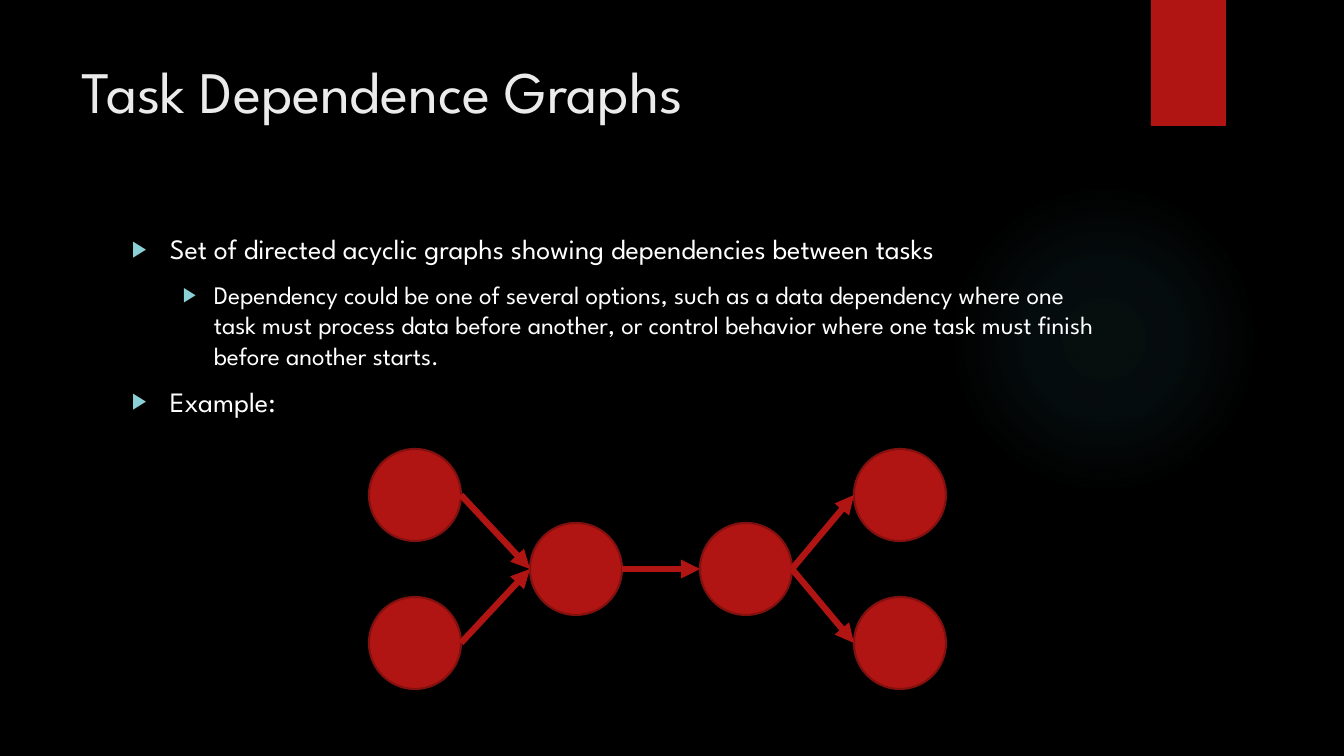
"""Build the slide on task dependence graphs with its example graph."""
import pptx
import pptx.dml.color
import pptx.enum.shapes
import pptx.enum.text
import pptx.oxml
import pptx.oxml.ns
import pptx.util

PX = 9071
FONT = "League Spartan"
COLORS = {"background": "000000", "glow": "50B9C1", "accent": "B01513", "outline": "82100E",
          "title": "EBEBEB", "body": "FFFFFF", "bullet": "8AD0D6"}
NS = pptx.oxml.ns.nsdecls("a")
RGB = pptx.dml.color.RGBColor.from_string
SHAPES = pptx.enum.shapes.MSO_SHAPE

deck = pptx.Presentation()
deck.slide_width, deck.slide_height = 1344 * PX, 756 * PX
slide = deck.slides.add_slide(deck.slide_layouts[6])
slide.background.fill.solid()
slide.background.fill.fore_color.rgb = RGB(COLORS["background"])


def add_block(preset, left, top, width, height, outline=None):
    block = slide.shapes.add_shape(preset, left * PX, top * PX, width * PX, height * PX)
    block.shadow.inherit = False
    block.fill.solid()
    block.fill.fore_color.rgb = RGB(COLORS["accent"])
    if outline:
        block.line.color.rgb = RGB(outline)
        block.line.width = pptx.util.Pt(1.5)
    else:
        block.line.fill.background()
    return block


def add_paragraph(frame, text, size, color, first):
    paragraph = frame.paragraphs[0] if first else frame.add_paragraph()
    run = paragraph.add_run()
    run.text = text
    for key, value in {"name": FONT, "size": pptx.util.Pt(size)}.items():
        setattr(run.font, key, value)
    run.font.color.rgb = RGB(color)
    return paragraph


glow = add_block(SHAPES.OVAL, 949, 184, 310, 310)
stops = "".join(
    f'<a:gs pos="{position * 1000}"><a:srgbClr val="{COLORS["glow"]}">'
    f'<a:alpha val="{alpha * 1000}"/></a:srgbClr></a:gs>'
    for position, alpha in [(0, 7), (36, 6), (69, 0)])
gradient = pptx.oxml.parse_xml(
    f'<a:gradFill {NS}><a:gsLst>{stops}</a:gsLst><a:path path="circle">'
    '<a:fillToRect l="50000" t="50000" r="50000" b="50000"/></a:path></a:gradFill>')
solid = glow._element.spPr.find(pptx.oxml.ns.qn("a:solidFill"))
solid.getparent().replace(solid, gradient)

add_block(SHAPES.RECTANGLE, 1151, 0, 75, 126)

frames = {}
for part, box in {"title": (72, 50, 1037, 154), "body": (122, 227, 986, 463)}.items():
    frames[part] = slide.shapes.add_textbox(*[length * PX for length in box]).text_frame
    for key, value in {"word_wrap": True,
                       "vertical_anchor": pptx.enum.text.MSO_ANCHOR.TOP}.items():
        setattr(frames[part], key, value)

add_paragraph(frames["title"], "Task Dependence Graphs", 42, COLORS["title"], True)

POINTS = [
    (0, "Set of directed acyclic graphs showing dependencies between tasks"),
    (1, "Dependency could be one of several options, such as a data dependency where one task "
        "must process data before another, or control behavior where one task must finish "
        "before another starts."),
    (0, "Example:"),
]
LEVELS = [(20, 38, -38), (18, 82, -31)]
for index, (level, text) in enumerate(POINTS):
    size, margin, indent = LEVELS[level]
    point = add_paragraph(frames["body"], text, size, COLORS["body"], index == 0)
    point.level = level
    point.space_before = pptx.util.Pt(10)
    properties = point._p.get_or_add_pPr()
    properties.set("marL", str(margin * PX))
    properties.set("indent", str(indent * PX))
    for bullet in (f'<a:buClr {NS}><a:srgbClr val="{COLORS["bullet"]}"/></a:buClr>',
                   f'<a:buSzPct {NS} val="80000"/>',
                   f'<a:buFont {NS} typeface="Arial"/>',
                   f'<a:buChar {NS} char="\u25b6"/>'):
        properties.append(pptx.oxml.parse_xml(bullet))

DIAMETER = 92
UPPER, MIDDLE, LOWER = 449, 523, 597
TASKS = {"first": (369, UPPER), "second": (369, LOWER), "join": (530, MIDDLE),
         "fork": (700, MIDDLE), "third": (854, UPPER), "fourth": (854, LOWER)}
for left, top in TASKS.values():
    add_block(SHAPES.OVAL, left, top, DIAMETER, DIAMETER, COLORS["outline"])

DEPENDENCIES = [("first", "join"), ("second", "join"), ("join", "fork"),
                ("fork", "third"), ("fork", "fourth")]
for source, target in DEPENDENCIES:
    (start_x, start_y), (end_x, end_y) = TASKS[source], TASKS[target]
    arrow = slide.shapes.add_connector(
        pptx.enum.shapes.MSO_CONNECTOR.STRAIGHT,
        (start_x + DIAMETER) * PX, (start_y + DIAMETER // 2) * PX,
        end_x * PX, (end_y + DIAMETER // 2) * PX)
    arrow.line.color.rgb = RGB(COLORS["accent"])
    arrow.line.width = pptx.util.Pt(4.5)
    arrow.line._get_or_add_ln().append(pptx.oxml.parse_xml(f'<a:tailEnd {NS} type="triangle"/>'))
    arrow._element.spPr.append(pptx.oxml.parse_xml(f"<a:effectLst {NS}/>"))

deck.save("out.pptx")
